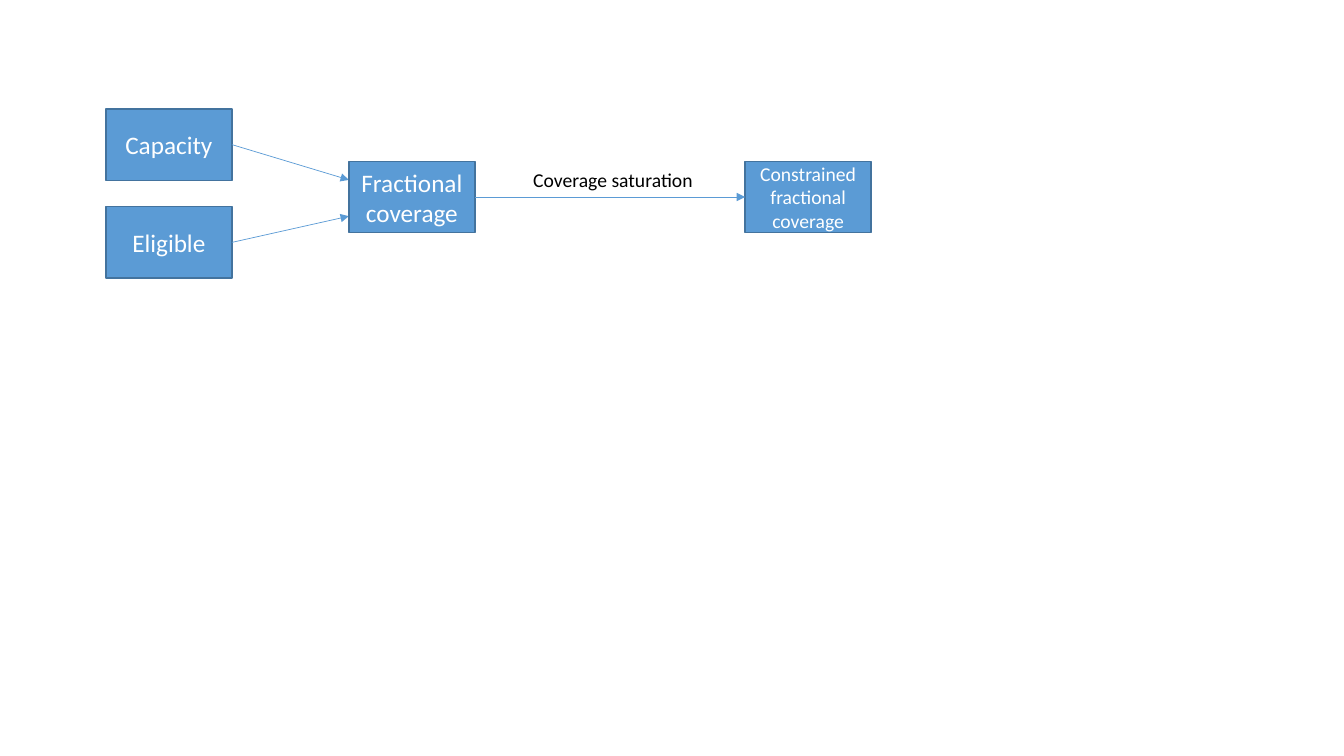
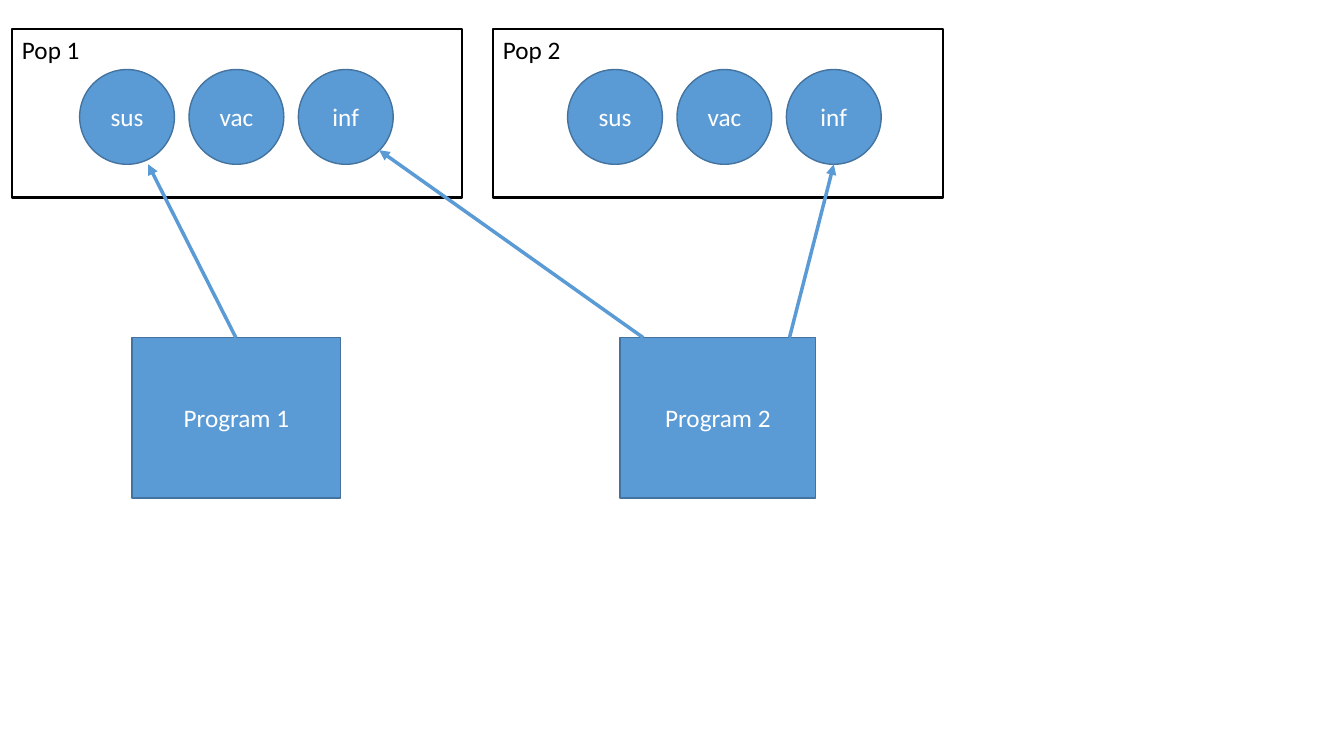
from pptx import Presentation
from pptx.dml.color import RGBColor
from pptx.enum import shapes, text
from pptx.oxml import ns, xmlchemy
from pptx.util import Inches, Pt

FONT = "Calibri"
BLUE, EDGE, WHITE, BLACK = "5B9BD5", "43739E", "FFFFFF", "000000"
RECT, OVAL = shapes.MSO_SHAPE.RECTANGLE, shapes.MSO_SHAPE.OVAL


def colour(value):
    return RGBColor.from_string(value)


def write(frame, words, size, ink, align):
    para = frame.paragraphs[0]
    para.alignment = align
    span = para.add_run()
    span.text = words
    span.font.name = FONT
    span.font.size = Pt(size)
    span.font.color.rgb = colour(ink)


def add_outline(page, kind, place, edge, weight):
    box = page.shapes.add_shape(kind, *map(Inches, place))
    box.shadow.inherit = False
    box.line.color.rgb = colour(edge)
    box.line.width = Pt(weight)
    return box


def add_node(page, kind, place, words, size=18):
    box = add_outline(page, kind, place, EDGE, 1)
    box.fill.solid()
    box.fill.fore_color.rgb = colour(BLUE)
    box.text_frame.word_wrap = True
    box.text_frame.vertical_anchor = text.MSO_ANCHOR.MIDDLE
    write(box.text_frame, words, size, WHITE, text.PP_ALIGN.CENTER)


def add_arrow(page, start, end, weight):
    arrow = page.shapes.add_connector(
        shapes.MSO_CONNECTOR.STRAIGHT, *map(Inches, (*start, *end)))
    arrow.line.color.rgb = colour(BLUE)
    arrow.line.width = Pt(weight)
    head = xmlchemy.OxmlElement("a:tailEnd")
    head.set("type", "triangle")
    properties = arrow._element.spPr
    properties.find(ns.qn("a:ln")).append(head)
    properties.append(xmlchemy.OxmlElement("a:effectLst"))


def add_label(page, place, words, size):
    label = page.shapes.add_textbox(*map(Inches, place))
    label.text_frame.word_wrap = False
    label.text_frame.auto_size = text.MSO_AUTO_SIZE.SHAPE_TO_FIT_TEXT
    write(label.text_frame, words, size, BLACK, text.PP_ALIGN.LEFT)


def build_coverage_flow(page, left, top):
    width, height = 1.25, 0.71
    middle = top + 0.52
    fraction, constrained = left + 2.41, left + 6.34
    axis = middle + height / 2
    inputs = (("Capacity", top, -0.17), ("Eligible", top + 0.97, 0.19))
    for words, y, offset in inputs:
        add_node(page, RECT, (left, y, width, height), words)
        add_arrow(page, (left + width, y + height / 2),
                  (fraction, axis + offset), 0.5)
    add_node(page, RECT, (fraction, middle, width, height),
             "Fractional coverage")
    add_node(page, RECT, (constrained, middle, width, height),
             "Constrained fractional coverage", 14)
    add_arrow(page, (fraction + width, axis), (constrained, axis), 0.5)
    add_label(page, (fraction + 1.73, middle + 0.02, 1.8, 0.34),
              "Coverage saturation", 14)


def build_population(page, left, top, words, indent):
    box = add_outline(page, RECT, (left, top, 4.46, 1.67), BLACK, 1.5)
    box.fill.background()
    box.text_frame.vertical_anchor = text.MSO_ANCHOR.TOP
    write(box.text_frame, words, 18, BLACK, text.PP_ALIGN.LEFT)
    for index, state in enumerate(("sus", "vac", "inf")):
        add_node(page, OVAL,
                 (left + indent + index * 1.085, top + 0.4, 0.94, 0.94), state)


def build_program(page, left, top, width, words, links):
    add_node(page, RECT, (left, top, width, 1.59), words)
    for offset, target in links:
        add_arrow(page, (left + offset, top), target, 2.5)


deck = Presentation()
deck.slide_width, deck.slide_height = Inches(13.33), Inches(7.5)
blank = deck.slide_layouts[6]

build_coverage_flow(deck.slides.add_slide(blank), 1.05, 1.08)

programs = deck.slides.add_slide(blank)
build_population(programs, 0.12, 0.29, "Pop 1", 0.67)
build_population(programs, 4.89, 0.29, "Pop 2", 0.74)
build_program(programs, 1.31, 3.35, 2.07, "Program 1", [(1.03, (1.47, 1.63))])
build_program(programs, 6.15, 3.35, 1.94, "Program 2",
              [(0.23, (3.76, 1.49)), (1.68, (8.27, 1.63))])

deck.save("out.pptx")
